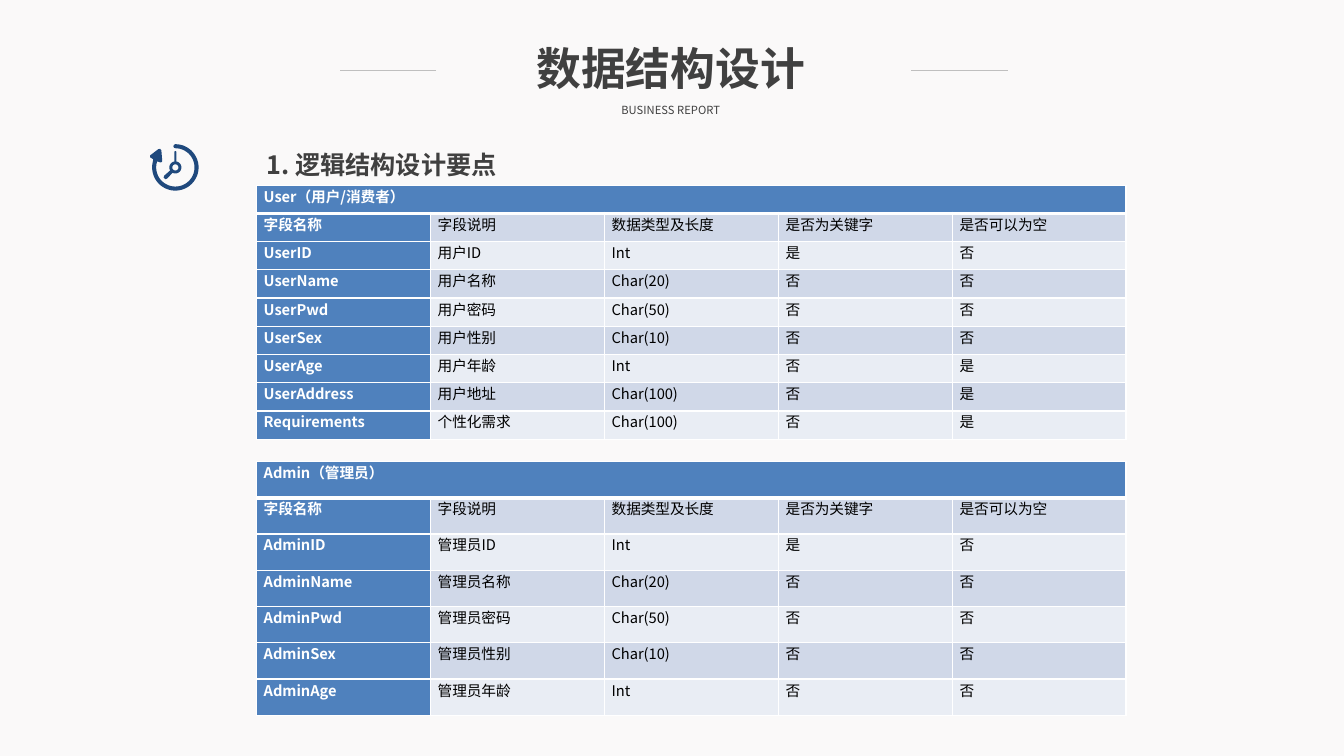
from math import cos, radians, sin

from lxml import etree
from pptx import Presentation
from pptx.dml.color import RGBColor
from pptx.enum.shapes import MSO_CONNECTOR
from pptx.enum.text import MSO_AUTO_SIZE, PP_ALIGN
from pptx.oxml.ns import qn
from pptx.util import Pt

STRAIGHT = MSO_CONNECTOR.STRAIGHT
GROW = MSO_AUTO_SIZE.SHAPE_TO_FIT_TEXT
LEFT, CENTER, JUSTIFY = PP_ALIGN.LEFT, PP_ALIGN.CENTER, PP_ALIGN.JUSTIFY
FONT = "Noto Sans CJK SC"
INK, RULE, NAVY, BLUE = "404040", "BFBFBF", "1F497D", "4F81BD"
WHITE, BLACK, BANDS = "FFFFFF", "000000", ("D0D8E8", "E9EDF4")

HEADINGS = ("字段名称", "字段说明", "数据类型及长度", "是否为关键字", "是否可以为空")
USER_FIELDS = (
    ("UserID", "用户ID", "Int", "是", "否"),
    ("UserName", "用户名称", "Char(20)", "否", "否"),
    ("UserPwd", "用户密码", "Char(50)", "否", "否"),
    ("UserSex", "用户性别", "Char(10)", "否", "否"),
    ("UserAge", "用户年龄", "Int", "否", "是"),
    ("UserAddress", "用户地址", "Char(100)", "否", "是"),
    ("Requirements", "个性化需求", "Char(100)", "否", "是"),
)
ADMIN_FIELDS = (
    ("AdminID", "管理员ID", "Int", "是", "否"),
    ("AdminName", "管理员名称", "Char(20)", "否", "否"),
    ("AdminPwd", "管理员密码", "Char(50)", "否", "否"),
    ("AdminSex", "管理员性别", "Char(10)", "否", "否"),
    ("AdminAge", "管理员年龄", "Int", "否", "否"),
)


def color(value):
    """Turn a hex string into a colour."""
    return RGBColor.from_string(value)


def add_run(paragraph, text, size, ink, bold):
    """Add one formatted run to a paragraph."""
    run = paragraph.add_run()
    run.text = text
    run.font.size = Pt(size)
    run.font.bold = bold
    run.font.color.rgb = color(ink)
    run.font.name = FONT
    etree.SubElement(run._r.get_or_add_rPr(), qn("a:ea"), typeface=FONT)


def add_label(slide, box, text, size, bold, alignment):
    """Add a one-line text box."""
    frame = slide.shapes.add_textbox(*map(Pt, box)).text_frame
    frame.word_wrap = True
    frame.auto_size = GROW
    paragraph = frame.paragraphs[0]
    paragraph.alignment = alignment
    add_run(paragraph, text, size, INK, bold)


def add_header(slide, box):
    """Place the title, its subtitle and the rules on both sides."""
    left, top, width, height = box
    add_label(slide, (left + 179.3, top + 45.4, 114.5, 17.3),
              "BUSINESS REPORT", 8, False, CENTER)
    add_label(slide, (left + 88.6, top, 296, 46),
              "数据结构设计", 32, True, CENTER)
    y = Pt(top + 25.2)
    for start in (left, left + width - 69):
        rule = slide.shapes.add_connector(STRAIGHT, Pt(start + 69), y, Pt(start), y)
        rule.line.color.rgb = color(RULE)
        rule.line.width = Pt(0.75)
        etree.SubElement(rule._element.spPr, qn("a:effectLst"))


def arc(radius, start, end, steps=40):
    """List points on an arc around the origin, angles in degrees."""
    angles = (radians(start + (end - start) * i / steps) for i in range(steps + 1))
    return [(radius * cos(angle), radius * sin(angle)) for angle in angles]


def add_outline(slide, center, contours):
    """Draw a filled outline from closed contours around a center."""
    contours = [[(Pt(center[0] + x), Pt(center[1] + y)) for x, y in contour]
                for contour in contours]
    builder = slide.shapes.build_freeform(*contours[0][0], scale=1.0)
    builder.add_line_segments(contours[0][1:], close=True)
    for contour in contours[1:]:
        builder.move_to(*contour[0])
        builder.add_line_segments(contour[1:], close=True)
    shape = builder.convert_to_shape()
    shape.shadow.inherit = False
    shape.fill.solid()
    shape.fill.fore_color.rgb = color(NAVY)
    shape.line.fill.background()


def add_clock(slide, box):
    """Draw the clock icon: a ring ending in an arrowhead, and its hands."""
    left, top, width, height = box
    radius = height / 2
    center = (left + width - radius, top + radius)
    arrowhead = [(-15.8, -5.8), (-18, -7.2), (-18, -8.6), (-12.2, -13),
                 (-10.8, -13.2), (-10, -12.2), (-9.4, -5), (-9.6, -3.8),
                 (-10.8, -3.6), (-13, -4.3)]
    cap = [(-1, -14.1), (-1.4, -15.1), (-1, -16.1)]
    ring = arc(radius, -90, 193) + arrowhead + arc(radius - 2.9, 198, -90) + cap
    long_hand = [(-0.8, -11.2), (0, -11.8), (0.8, -11.2)]
    short_hand = [(-5.8, 7.9), (-7.2, 8.4), (-8.4, 7.2), (-7.9, 5.8)]
    hands = long_hand + arc(4.3, -80, 118) + short_hand + arc(4.3, 150, 260)
    add_outline(slide, center, [ring])
    add_outline(slide, center, [hands, arc(2.2, 360, 0)])


def style_cell(cell, text, fill, ink, bold, widths):
    """Set the borders, fill and text of a table cell."""
    properties = cell._tc.get_or_add_tcPr()
    for side, width in zip(("lnL", "lnR", "lnT", "lnB"), widths):
        line = etree.SubElement(properties, qn(f"a:{side}"), w=str(Pt(width)))
        solid = etree.SubElement(line, qn("a:solidFill"))
        etree.SubElement(solid, qn("a:srgbClr"), val=WHITE)
    cell.fill.solid()
    cell.fill.fore_color.rgb = color(fill)
    cell.margin_left = cell.margin_right = Pt(5.4)
    cell.margin_top = cell.margin_bottom = 0
    if text:
        paragraph = cell.text_frame.paragraphs[0]
        paragraph.alignment = JUSTIFY
        add_run(paragraph, text, 10.5, ink, bold)


def add_field_table(slide, box, title, fields):
    """Add a table of database fields under a merged title row."""
    rows = [(title, "", "", "", ""), HEADINGS, *fields]
    columns = len(HEADINGS)
    table = slide.shapes.add_table(len(rows), columns, *map(Pt, box)).table
    table.horz_banding = False
    for column in table.columns:
        column.width = Pt(box[2] / columns)
    for i, texts in enumerate(rows):
        table.rows[i].height = Pt(box[3] / len(rows))
        widths = (1, 1, 3 if i == 1 else 1, 3 if i == 0 else 1)
        for j, text in enumerate(texts):
            strong = i == 0 or j == 0
            fill = BLUE if strong else BANDS[(i - 1) % 2]
            ink = WHITE if strong else BLACK
            style_cell(table.cell(i, j), text, fill, ink, strong, widths)
    table.cell(0, 0).merge(table.cell(0, columns - 1))


def main():
    """Build the slide and save it."""
    presentation = Presentation()
    presentation.slide_width, presentation.slide_height = Pt(960), Pt(540)
    slide = presentation.slides.add_slide(presentation.slide_layouts[6])
    slide.background.fill.solid()
    slide.background.fill.fore_color.rgb = color("FAF9F9")
    add_label(slide, (183.2, 103, 220, 28.8),
              "1. 逻辑结构设计要点", 18, True, LEFT)
    add_header(slide, (242.6, 25.2, 477.4, 62.7))
    add_clock(slide, (106.6, 103, 35.3, 33.2))
    add_field_table(slide, (183, 132.3, 621.4, 181.4),
                    "User（用户/消费者）", USER_FIELDS)
    add_field_table(slide, (183, 329.6, 621.4, 181.4),
                    "Admin（管理员）", ADMIN_FIELDS)
    presentation.save("out.pptx")


if __name__ == "__main__":
    main()
